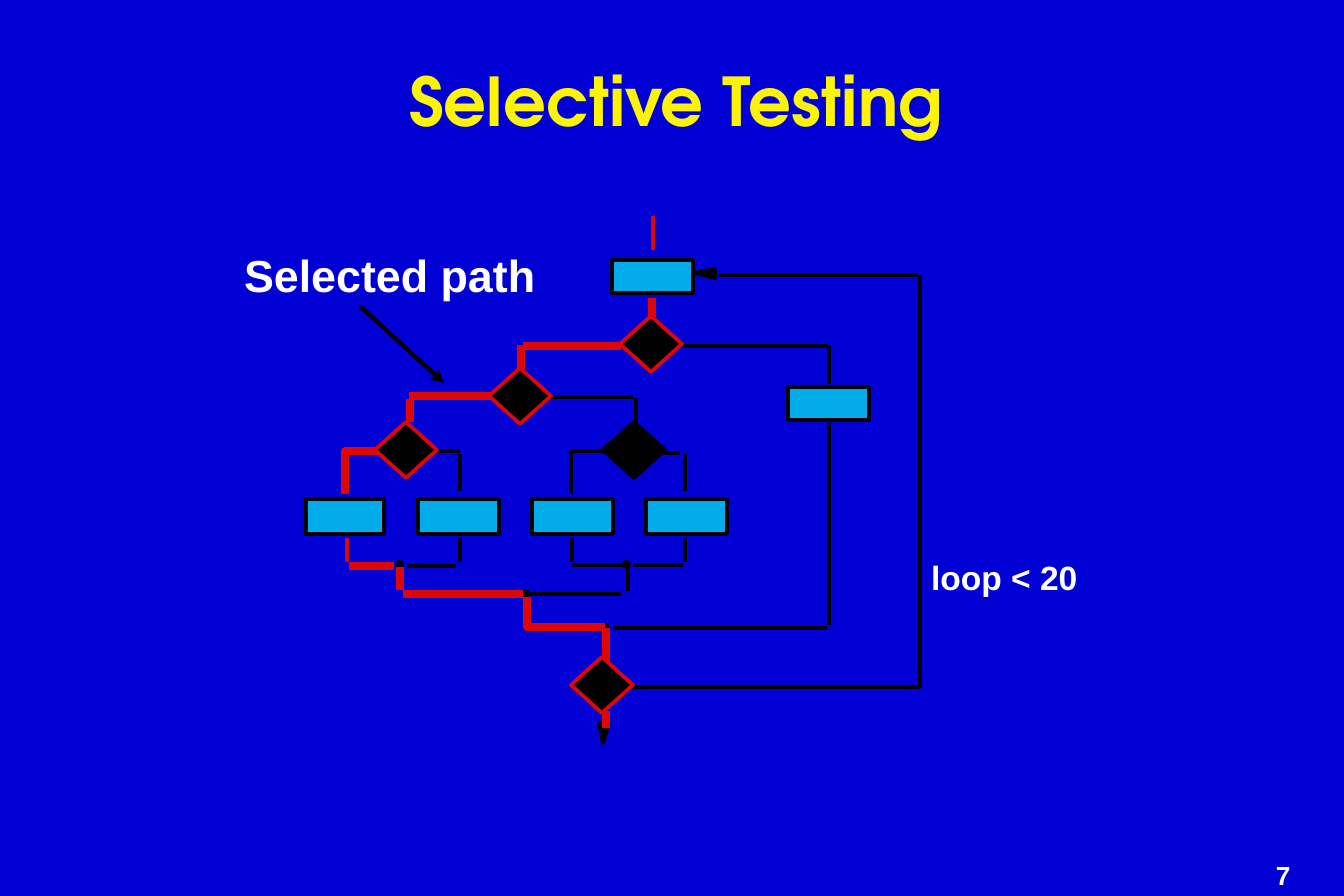
from lxml import etree
from pptx import Presentation
from pptx.dml.color import RGBColor
from pptx.enum.shapes import MSO_CONNECTOR, MSO_SHAPE
from pptx.enum.text import MSO_ANCHOR, PP_ALIGN
from pptx.oxml.ns import qn
from pptx.util import Emu, Pt

STRAIGHT = MSO_CONNECTOR.STRAIGHT
RECTANGLE, DIAMOND, OVAL = MSO_SHAPE.RECTANGLE, MSO_SHAPE.DIAMOND, MSO_SHAPE.OVAL
TOP, MIDDLE = MSO_ANCHOR.TOP, MSO_ANCHOR.MIDDLE
LEFT, CENTER = PP_ALIGN.LEFT, PP_ALIGN.CENTER

EMU_PER_PX = 914400 / 134.4
COLORS = {"back": "0000D4", "title": "FCF305", "text": "FFFFFF",
          "path": "DD0806", "plain": "000000", "step": "02ABEA"}


def px(length):
    return Emu(round(length * EMU_PER_PX))


def rgb(name):
    return RGBColor.from_string(COLORS[name])


def style_line(shape, color, width):
    shape.line.color.rgb = rgb(color)
    shape.line.width = Pt(width)


def style_shape(shape, fill, outline, width=2):
    shape.shadow.inherit = False
    if fill:
        shape.fill.solid()
        shape.fill.fore_color.rgb = rgb(fill)
    else:
        shape.fill.background()
    style_line(shape, outline, width)


def add_label(slide, box, text, size, font="Arial", color="text",
              align=LEFT, anchor=TOP, spacing=1.0, margins=(13, 7)):
    label = slide.shapes.add_textbox(*map(px, box))
    frame = label.text_frame
    across, down = map(px, margins)
    frame_format = {"word_wrap": True, "vertical_anchor": anchor,
                    "margin_left": across, "margin_right": across,
                    "margin_top": down, "margin_bottom": down}
    for name, value in frame_format.items():
        setattr(frame, name, value)
    paragraph = frame.paragraphs[0]
    paragraph.alignment = align
    paragraph.line_spacing = spacing
    run = paragraph.add_run()
    run.text = text
    for name, value in {"name": font, "size": Pt(size), "bold": True}.items():
        setattr(run.font, name, value)
    run.font.color.rgb = rgb(color)


def add_route(slide, origin, points, color="plain", width=2, arrow=False):
    """Draw a straight connector, or an open outline where the route bends."""
    points = [(origin[0] + x, origin[1] + y) for x, y in points]
    if len(points) == 2:
        start, end = points
        route = slide.shapes.add_connector(STRAIGHT, *map(px, start + end))
        style_line(route, color, width)
        etree.SubElement(route._element.spPr, qn("a:effectLst"))
    else:
        builder = slide.shapes.build_freeform(*points[0], scale=EMU_PER_PX)
        builder.add_line_segments(points[1:], close=False)
        route = builder.convert_to_shape()
        style_shape(route, None, color, width)
    if arrow:
        etree.SubElement(route.line._get_or_add_ln(), qn("a:tailEnd"), type="triangle")


def add_node(slide, origin, kind, box, fill, outline):
    x, y, width, height = box
    node = slide.shapes.add_shape(
        kind, *map(px, (origin[0] + x, origin[1] + y, width, height)))
    style_shape(node, fill, outline)


def add_arrowhead(slide, origin, points):
    points = [(origin[0] + x, origin[1] + y) for x, y in points]
    builder = slide.shapes.build_freeform(*points[0], scale=EMU_PER_PX)
    builder.add_line_segments(points[1:], close=True)
    style_shape(builder.convert_to_shape(), "plain", "plain")


def add_flow_graph(slide, origin):
    # Branches that are not selected
    plain_routes = [
        [(415, 60), (614, 60)],
        [(376, 131), (523, 131)], [(525, 169), (525, 130)],
        [(525, 208), (525, 410)], [(309, 413), (523, 413)],
        [(244, 182), (329, 182)], [(332, 183), (332, 208)],
        [(129, 236), (156, 236)], [(156, 239), (156, 276)],
        [(301, 236), (267, 236), (267, 279)],
        [(359, 238), (376, 238)], [(381, 239), (381, 276)],
        [(268, 350), (325, 350)], [(329, 350), (379, 350)],
        [(103, 351), (152, 351)], [(324, 351), (324, 376)],
        [(317, 379), (226, 379)],
        [(326, 472), (616, 472), (616, 60)],
        [(302, 499), (302, 505)],
    ]
    plain_routes += [[(x, 323), (x, 347)] for x in (156, 268, 381)]
    for points in plain_routes:
        add_route(slide, origin, points)

    # Loop entry and exit arrowheads
    add_arrowhead(slide, origin, [(391, 58), (411, 54), (411, 63)])
    add_arrowhead(slide, origin, [(299, 528), (295, 508), (305, 508)])

    # Junctions
    for x, y in [(320, 347), (93, 347), (219, 376), (299, 410)]:
        add_node(slide, origin, OVAL, (x, y, 5, 5), "plain", "plain")

    # Selected path
    for points in ([(349, 1), (349, 35)], [(43, 323), (43, 347)]):
        add_route(slide, origin, points, "path")
    selected_routes = [
        [(348, 83), (348, 102)],
        [(317, 131), (219, 131)], [(217, 156), (217, 130)],
        [(192, 181), (105, 181)], [(106, 184), (106, 207)],
        [(75, 236), (41, 236), (41, 279)],
        [(45, 351), (90, 351)], [(96, 352), (96, 375)],
        [(99, 379), (219, 379)],
        [(223, 382), (223, 412), (301, 412)],
        [(302, 446), (302, 413)], [(302, 513), (302, 496)],
    ]
    for points in selected_routes:
        add_route(slide, origin, points, "path", 4)

    # Steps
    steps = [(308, 45, 81, 33), (484, 172, 81, 33), (2, 284, 78, 35)]
    steps += [(x, 284, 81, 35) for x in (114, 228, 342)]
    for box in steps:
        add_node(slide, origin, RECTANGLE, box, "step", "plain")

    # Decisions
    decisions = [(316, 101, "path"), (185, 153, "path"), (71, 207, "path"),
                 (299, 207, "plain"), (267, 442, "path")]
    for x, y, outline in decisions:
        add_node(slide, origin, DIAMOND, (x, y, 62, 56), "plain", outline)


def add_path_callout(slide, box):
    add_label(slide, box, "Selected path", 24)
    add_route(slide, box[:2], [(129, 65), (213, 142)], width=2.25, arrow=True)


def build_slide(presentation):
    slide = presentation.slides.add_slide(presentation.slide_layouts[6])
    slide.background.fill.solid()
    slide.background.fill.fore_color.rgb = rgb("back")
    add_label(slide, (153, 86, 1046, 39), "Selective Testing", 36,
              "TeX Gyre Adventor", "title", CENTER, MIDDLE, 0.88)
    add_flow_graph(slide, (304, 215))
    add_label(slide, (918, 550, 184, 54), "loop < 20", 18)
    add_path_callout(slide, (231, 241, 330, 67))
    add_label(slide, (1267, 859, 51, 36), "7", 14, spacing=0.9, margins=(9, 4))


deck = Presentation()
deck.slide_width, deck.slide_height = px(1344), px(896)
build_slide(deck)
deck.save("out.pptx")
